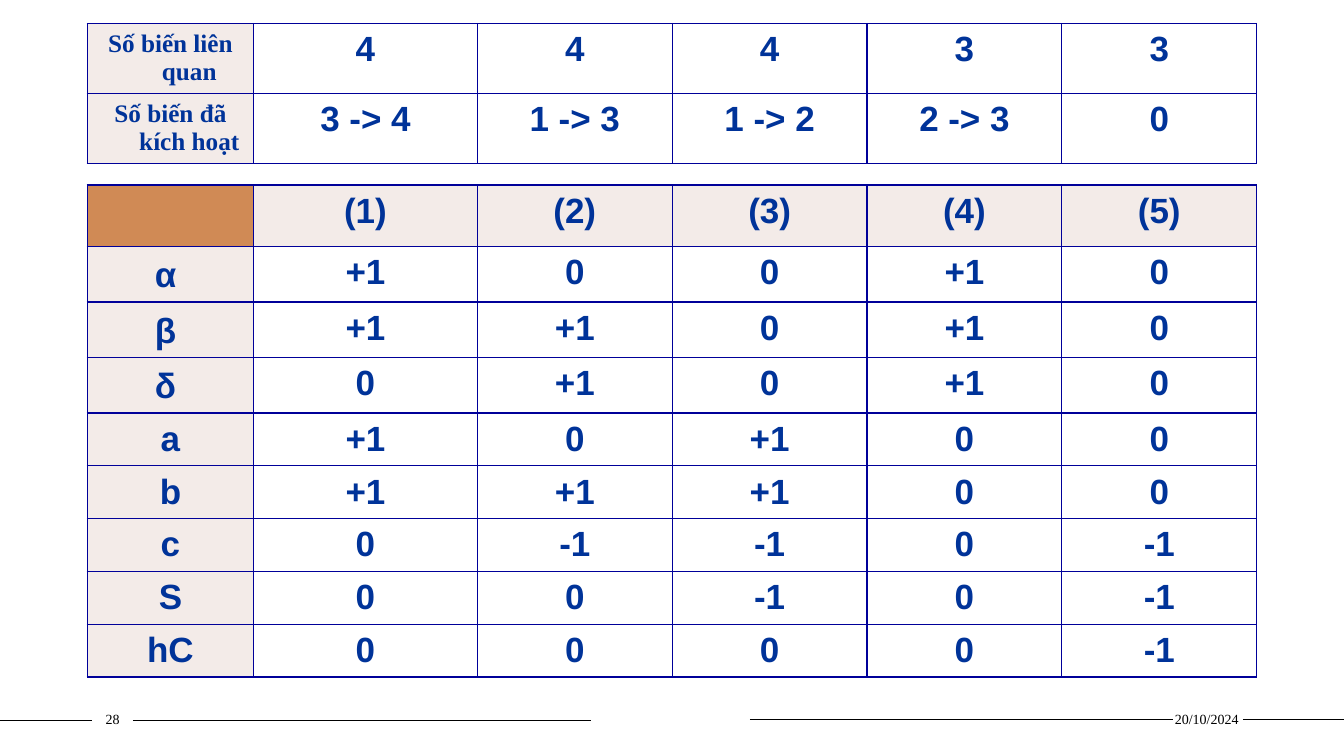
from dataclasses import dataclass

from lxml import etree
from pptx import Presentation
from pptx.dml.color import RGBColor
from pptx.enum.shapes import MSO_CONNECTOR
from pptx.enum.text import MSO_ANCHOR, PP_ALIGN
from pptx.oxml.ns import qn
from pptx.util import Cm, Pt

BLACK = RGBColor(0x00, 0x00, 0x00)
NAVY = RGBColor(0x00, 0x33, 0x99)
BORDER = RGBColor(0x00, 0x00, 0x99)
PALE = RGBColor(0xF3, 0xEB, 0xE8)
ORANGE = RGBColor(0xD0, 0x8A, 0x55)

SANS = "Arial"
SERIF = "Times New Roman"
TABLE_LEFT = 2.2
COLUMN_WIDTHS = [4.19, 5.64] + [4.91] * 4
HANGING = Cm(0.95)


@dataclass
class Grid:
    top: float
    row_heights: list[float]
    rows: list[list[str]]
    label_font: str
    label_size: int
    has_header: bool


@dataclass
class Rule:
    x1: float
    x2: float
    y: float


@dataclass
class Label:
    left: float
    width: float
    text: str


GRIDS = [
    Grid(4.66, [1.55] + [1.4] * 3 + [1.33] * 5, [
        ["", "(1)", "(2)", "(3)", "(4)", "(5)"],
        ["α ", "+1", "0", "0", "+1", "0"],
        ["β ", "+1", "+1", "0", "+1", "0"],
        ["δ ", "0", "+1", "0", "+1", "0"],
        ["a", "+1", "0", "+1", "0", "0"],
        ["b", "+1", "+1", "+1", "0", "0"],
        ["c", "0", "-1", "-1", "0", "-1"],
        ["S", "0", "0", "-1", "0", "-1"],
        ["hC", "0", "0", "0", "0", "-1"],
    ], SANS, 25, True),
    Grid(0.59, [1.76] * 2, [
        ["Số biến liên quan", "4", "4", "4", "3", "3"],
        ["Số biến đã kích hoạt", "3 -> 4", "1 -> 3", "1 -> 2", "2 -> 3", "0"],
    ], SERIF, 18, False),
]
RULES = [
    Rule(0, 2.33, 18.15),
    Rule(3.35, 14.9, 18.15),
    Rule(18.9, 29.56, 18.13),
    Rule(31.32, 33.87, 18.13),
]
LABELS = [Label(29.52, 1.78, "20/10/2024"), Label(2.33, 1.02, "28")]


def add_run(p, text: str, font: str, size: int, color: RGBColor, bold: bool) -> None:
    r = p.add_run()
    r.text = text
    r.font.name = font
    r.font.size = Pt(size)
    r.font.bold = bold
    r.font.color.rgb = color


def set_borders(cell) -> None:
    tc_pr = cell._tc.get_or_add_tcPr()
    for index, side in enumerate(("a:lnL", "a:lnR", "a:lnT", "a:lnB")):
        ln = etree.Element(qn(side), w=str(Pt(1)))
        fill = etree.SubElement(ln, qn("a:solidFill"))
        etree.SubElement(fill, qn("a:srgbClr"), val=str(BORDER))
        tc_pr.insert(index, ln)


def fill_cell(cell, color: RGBColor | None) -> None:
    if color is None:
        cell.fill.background()
    else:
        cell.fill.solid()
        cell.fill.fore_color.rgb = color


def draw_grid(s, grid: Grid) -> None:
    table = s.shapes.add_table(
        len(grid.rows), len(COLUMN_WIDTHS), Cm(TABLE_LEFT), Cm(grid.top),
        Cm(sum(COLUMN_WIDTHS)), Cm(sum(grid.row_heights))).table
    table.first_row = table.horz_banding = False
    for column, width in zip(table.columns, COLUMN_WIDTHS):
        column.width = Cm(width)
    for i, (height, texts) in enumerate(zip(grid.row_heights, grid.rows)):
        table.rows[i].height = Cm(height)
        for j, text in enumerate(texts):
            cell = table.cell(i, j)
            is_header = grid.has_header and i == 0
            if not text:
                fill_cell(cell, ORANGE)
            else:
                fill_cell(cell, PALE if j == 0 or is_header else None)
            set_borders(cell)
            cell.margin_left = cell.margin_right = Cm(0.33)
            cell.margin_top = Cm(0.25 if text in ("α ", "β ", "δ ") else 0.17)
            cell.margin_bottom = Cm(0.03)
            if text:
                p = cell.text_frame.paragraphs[0]
                p.alignment = PP_ALIGN.CENTER
                p_pr = p._p.get_or_add_pPr()
                p_pr.set("marL", str(HANGING))
                p_pr.set("indent", str(-HANGING))
                font, size = (grid.label_font, grid.label_size) if j == 0 else (SANS, 25)
                add_run(p, text, font, size, NAVY, True)


def draw_rule(s, rule: Rule) -> None:
    line = s.shapes.add_connector(
        MSO_CONNECTOR.STRAIGHT, Cm(rule.x1), Cm(rule.y), Cm(rule.x2), Cm(rule.y))
    line.line.color.rgb = BLACK
    line.line.width = Pt(1)
    etree.SubElement(line._element.spPr, qn("a:effectLst"))


def draw_label(s, label: Label) -> None:
    sp = s.shapes.add_textbox(Cm(label.left), Cm(17.78), Cm(label.width), Cm(0.69))
    tf = sp.text_frame
    tf.word_wrap = True
    tf.vertical_anchor = MSO_ANCHOR.MIDDLE
    tf.margin_left = tf.margin_right = 0
    p = tf.paragraphs[0]
    p.alignment = PP_ALIGN.CENTER
    add_run(p, label.text, SERIF, 10, BLACK, False)


def main() -> None:
    prs = Presentation()
    prs.slide_width, prs.slide_height = Cm(33.87), Cm(19.05)
    s = prs.slides.add_slide(prs.slide_layouts[6])
    for rule in RULES:
        draw_rule(s, rule)
    for label in LABELS:
        draw_label(s, label)
    for grid in GRIDS:
        draw_grid(s, grid)
    prs.save("out.pptx")


if __name__ == "__main__":
    main()
